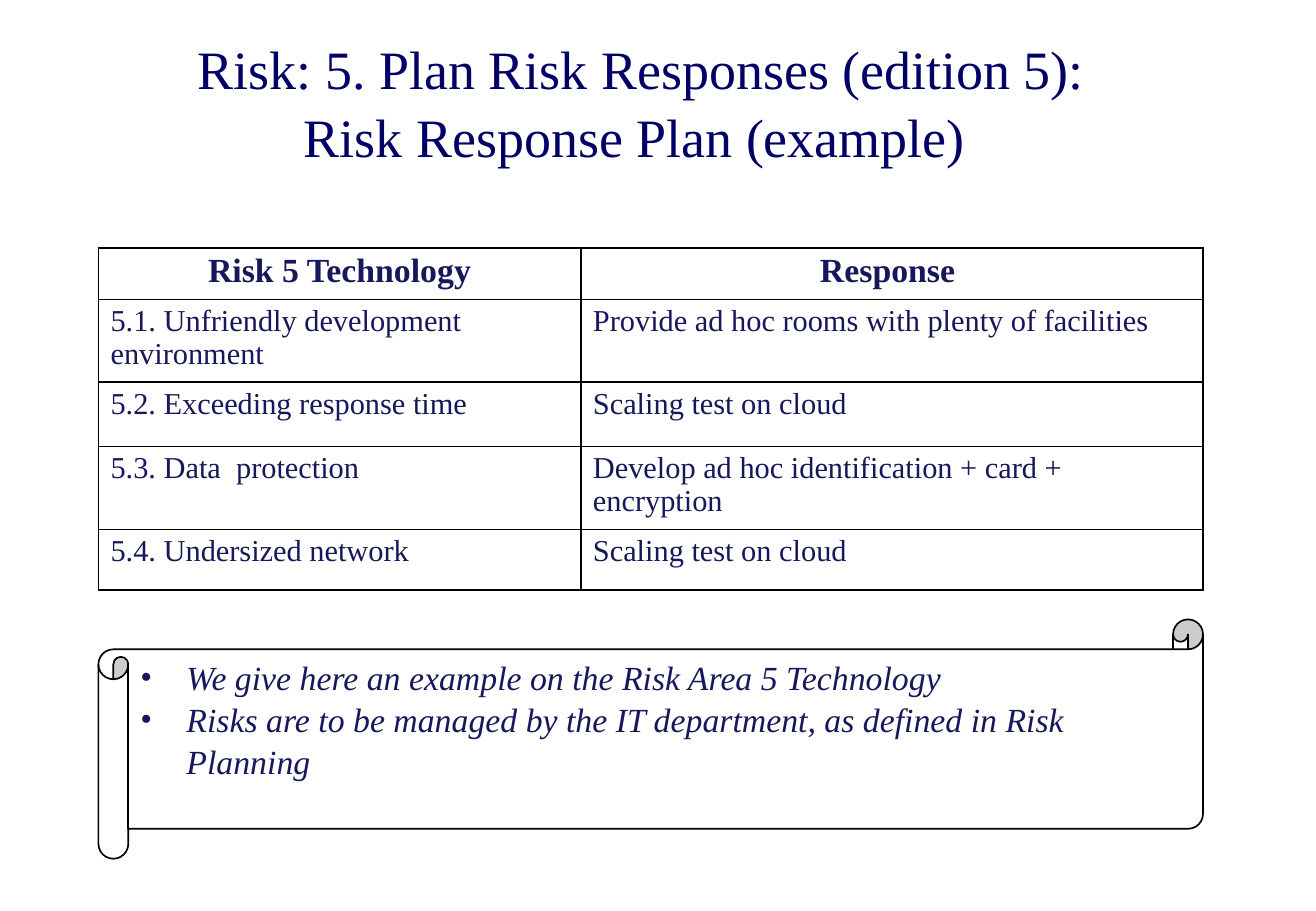
from dataclasses import dataclass

from lxml.etree import SubElement
from pptx import Presentation
from pptx.dml.color import RGBColor
from pptx.enum.shapes import MSO_SHAPE as Shape
from pptx.enum.text import MSO_ANCHOR as Anchor, PP_ALIGN as Align
from pptx.oxml.ns import qn
from pptx.util import Inches, Pt

NAVY = RGBColor(0x00, 0x00, 0x66)
INK = RGBColor(0x17, 0x17, 0x5C)
BLACK = RGBColor(0, 0, 0)
WHITE = RGBColor(255, 255, 255)
LEFT, WIDTH = 0.81, 9.09


@dataclass
class Style:
    size: int
    color: RGBColor = INK
    bold: bool = False
    italic: bool = False
    align: Align = Align.LEFT
    space: float = 1.04


@dataclass
class Row:
    risk: str
    reply: str
    height: float
    style: Style


TITLE = Style(32, NAVY, align=Align.CENTER)
HEAD = Style(20, bold=True, align=Align.CENTER, space=0.97)
BODY = Style(18, space=0.97)
NOTE = Style(20, italic=True)

COLS = (3.97, 5.12)
ROWS = [
    Row("Risk 5 Technology", "Response ", 0.41, HEAD),
    Row("5.1. Unfriendly development environment",
        "Provide ad hoc rooms with plenty of facilities", 0.65, BODY),
    Row("5.2. Exceeding response time", "Scaling test on cloud", 0.53, BODY),
    Row("5.3. Data  protection",
        "Develop ad hoc identification + card + encryption", 0.65, BODY),
    Row("5.4. Undersized network", "Scaling test on cloud", 0.5, BODY),
]
NOTES = [
    "We give here an example on the Risk Area 5 Technology",
    "Risks are to be managed by the IT department, as defined in Risk Planning",
]


def write(frame, lines: list[str], style: Style, bullet: bool = False) -> None:
    frame.word_wrap = True
    for i, line in enumerate(lines):
        para = frame.paragraphs[0] if i == 0 else frame.add_paragraph()
        para.text = line
        para.alignment = style.align
        para.line_spacing = style.space
        if bullet:
            props = para._p.get_or_add_pPr()
            props.set("marL", str(Inches(0.38)))
            props.set("indent", str(-Inches(0.38)))
            SubElement(props, qn("a:buFont"), typeface="Times New Roman")
            SubElement(props, qn("a:buChar"), char="•")
        for run in para.runs:
            look = {"name": "Times New Roman", "size": Pt(style.size),
                    "bold": style.bold, "italic": style.italic}
            for key, value in look.items():
                setattr(run.font, key, value)
            run.font.color.rgb = style.color


def frame_cell(cell) -> None:
    props = cell._tc.get_or_add_tcPr()
    for side in ("lnL", "lnR", "lnT", "lnB"):
        line = SubElement(props, qn(f"a:{side}"), w=str(Pt(1)))
        fill = SubElement(line, qn("a:solidFill"))
        SubElement(fill, qn("a:srgbClr"), val=str(BLACK))
    cell.fill.solid()
    cell.fill.fore_color.rgb = WHITE


def main() -> None:
    deck = Presentation()
    deck.slide_width, deck.slide_height = Inches(10.83), Inches(7.5)
    shapes = deck.slides.add_slide(deck.slide_layouts[6]).shapes

    # Title
    title = shapes.add_textbox(Inches(LEFT), Inches(0.33), Inches(8.94), Inches(1))
    title.text_frame.vertical_anchor = Anchor.MIDDLE
    write(title.text_frame, ["Risk: 5. Plan Risk Responses (edition 5):\v"
                             "Risk Response Plan (example) "], TITLE)

    # Risk table
    height = sum(row.height for row in ROWS)
    table = shapes.add_table(len(ROWS), len(COLS), Inches(LEFT), Inches(2.04),
                             Inches(WIDTH), Inches(height)).table
    for col, width in zip(table.columns, COLS):
        col.width = Inches(width)
    for r, row in enumerate(ROWS):
        table.rows[r].height = Inches(row.height)
        for c, text in enumerate((row.risk, row.reply)):
            cell = table.cell(r, c)
            write(cell.text_frame, [text], row.style)
            frame_cell(cell)

    # Scroll with notes
    scroll = shapes.add_shape(Shape.HORIZONTAL_SCROLL, Inches(LEFT), Inches(5.1),
                              Inches(WIDTH), Inches(1.97))
    scroll.shadow.inherit = False
    scroll.fill.solid()
    scroll.fill.fore_color.rgb = WHITE
    scroll.line.color.rgb = BLACK
    scroll.line.width = Pt(1)
    scroll.text_frame.vertical_anchor = Anchor.TOP
    write(scroll.text_frame, NOTES, NOTE, bullet=True)

    deck.save("out.pptx")


if __name__ == "__main__":
    main()
